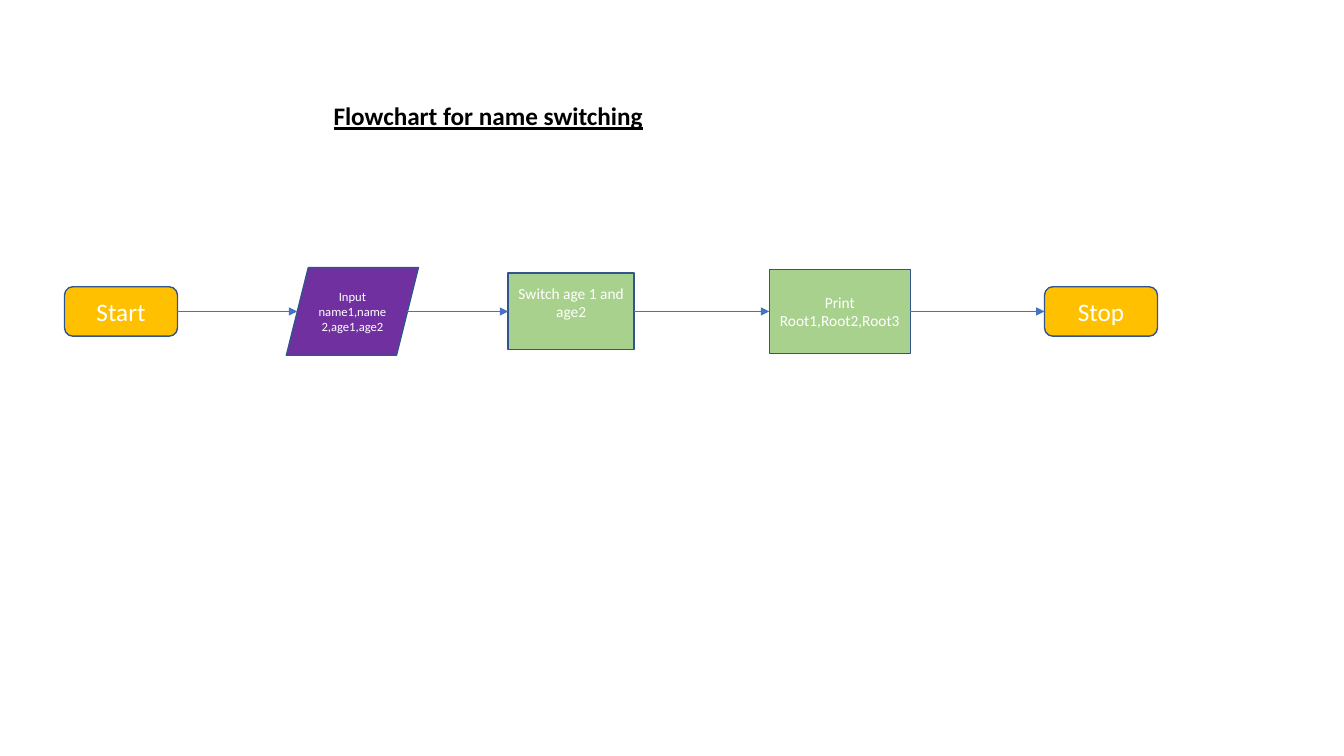
from itertools import pairwise

from lxml import etree
from pptx import Presentation
from pptx.dml.color import RGBColor
from pptx.enum import shapes, text
from pptx.oxml.ns import qn
from pptx.util import Inches, Pt

COLORS = {"start_stop": "FFC000", "input": "7030A0", "process": "A9D18E",
          "outline": "325491", "arrow": "4472C4", "label": "FFFFFF", "title": "000000"}
FONT = "Calibri"
TITLE = "Flowchart for name switching"
AXIS = 3.09   # height of the centre line shared by all steps
SLANT = 0.25  # share of its height by which the parallelogram leans
INSET = 0.05

KINDS = {"start_stop": shapes.MSO_SHAPE.ROUNDED_RECTANGLE,
         "input": shapes.MSO_SHAPE.PARALLELOGRAM,
         "process": shapes.MSO_SHAPE.RECTANGLE}

# label, kind, left, width, height, text size, extra space below the label
STEPS = [
    ("Start", "start_stop", 0.64, 1.12, 0.49, 18, 0),
    ("Input name1,name2,age1,age2", "input", 2.84, 1.31, 0.87, 9, 0),
    ("Switch age 1 and age2", "process", 5.04, 1.25, 0.76, 11, 0.18),
    ("Print Root1,Root2,Root3", "process", 7.63, 1.4, 0.83, 11, 0),
    ("Stop", "start_stop", 10.36, 1.12, 0.49, 18, 0),
]


def rgb(name):
    """Return the named colour."""
    return RGBColor.from_string(COLORS[name])


def write(shape, words, size, color, align=text.PP_ALIGN.LEFT,
          anchor=text.MSO_ANCHOR.TOP, below=0, **font):
    """Put formatted words into a shape."""
    frame = shape.text_frame
    frame.word_wrap = True
    frame.vertical_anchor = anchor
    frame.margin_bottom = Inches(INSET + below)
    paragraph = frame.paragraphs[0]
    paragraph.alignment = align
    run = paragraph.add_run()
    run.text = words
    run.font.name, run.font.size = FONT, Pt(size)
    run.font.color.rgb = rgb(color)
    for key, value in font.items():
        setattr(run.font, key, value)


def add_step(slide, label, kind, left, width, height, size, below):
    """Draw a step on the axis and return the x of its left and right arrow ends."""
    step = slide.shapes.add_shape(KINDS[kind], Inches(left), Inches(AXIS - height / 2),
                                  Inches(width), Inches(height))
    step.shadow.inherit = False
    step.fill.solid()
    step.fill.fore_color.rgb = rgb(kind)
    step.line.color.rgb = rgb("outline")
    step.line.width = Pt(1)
    write(step, label, size, "label", align=text.PP_ALIGN.CENTER,
          anchor=text.MSO_ANCHOR.MIDDLE, below=below)
    lean = SLANT * height / 2 if kind == "input" else 0
    return left + lean, left + width - lean


def add_arrow(slide, start, end):
    """Draw an arrow along the axis between two x positions."""
    arrow = slide.shapes.add_connector(shapes.MSO_CONNECTOR.STRAIGHT, Inches(start),
                                       Inches(AXIS), Inches(end), Inches(AXIS))
    arrow.line.color.rgb = rgb("arrow")
    arrow.line.width = Pt(0.5)
    etree.SubElement(arrow.line._get_or_add_ln(), qn("a:tailEnd"), type="triangle")
    etree.SubElement(arrow._element.spPr, qn("a:effectLst"))


deck = Presentation()
deck.slide_width, deck.slide_height = Inches(13.33), Inches(7.5)
slide = deck.slides.add_slide(deck.slide_layouts[6])

title = slide.shapes.add_textbox(Inches(3.21), Inches(0.95), Inches(6.66), Inches(0.4))
write(title, TITLE, 18, "title", bold=True, underline=True)

ends = [add_step(slide, *step) for step in STEPS]
for (_, start), (end, _) in pairwise(ends):
    add_arrow(slide, start, end)

deck.save("out.pptx")
